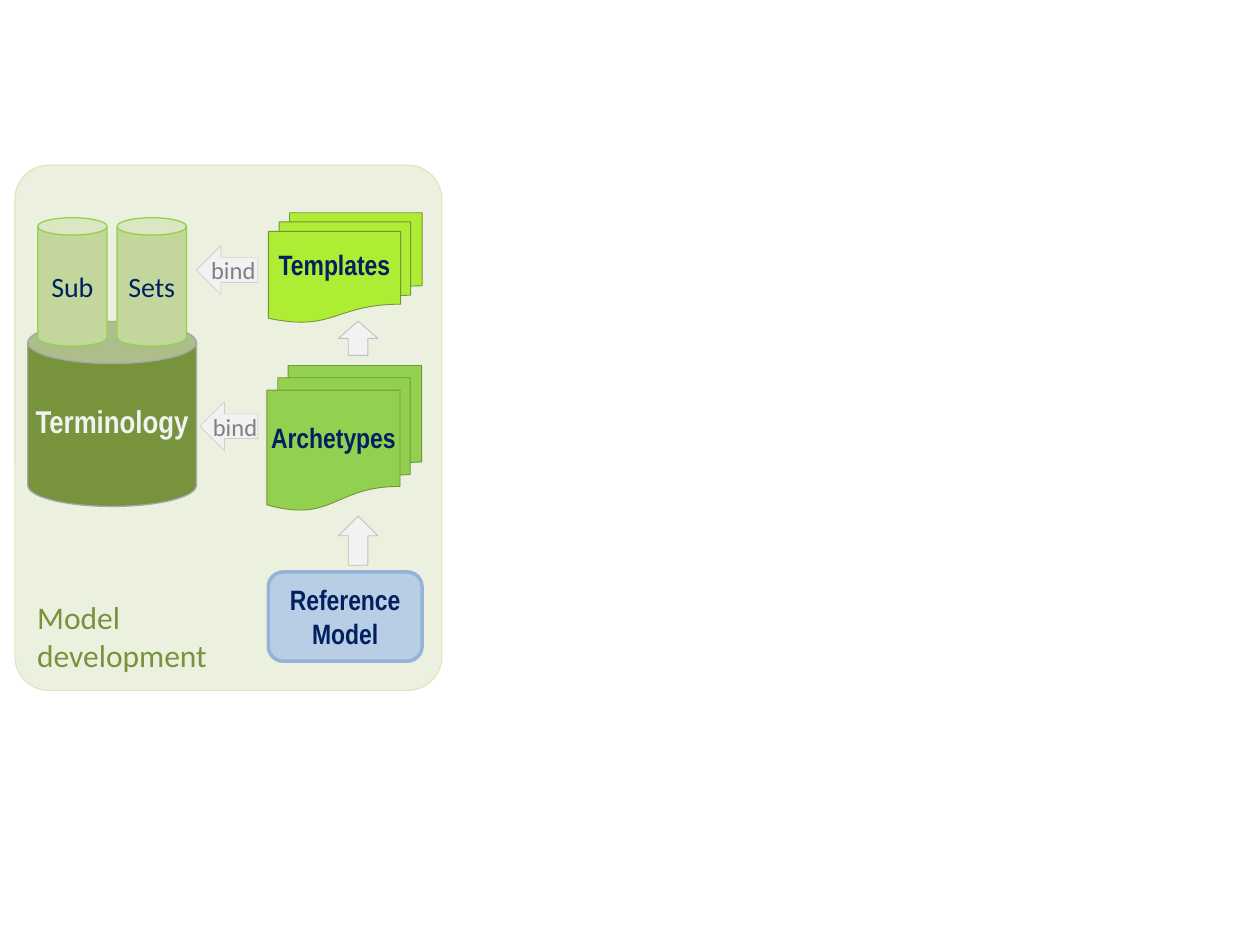
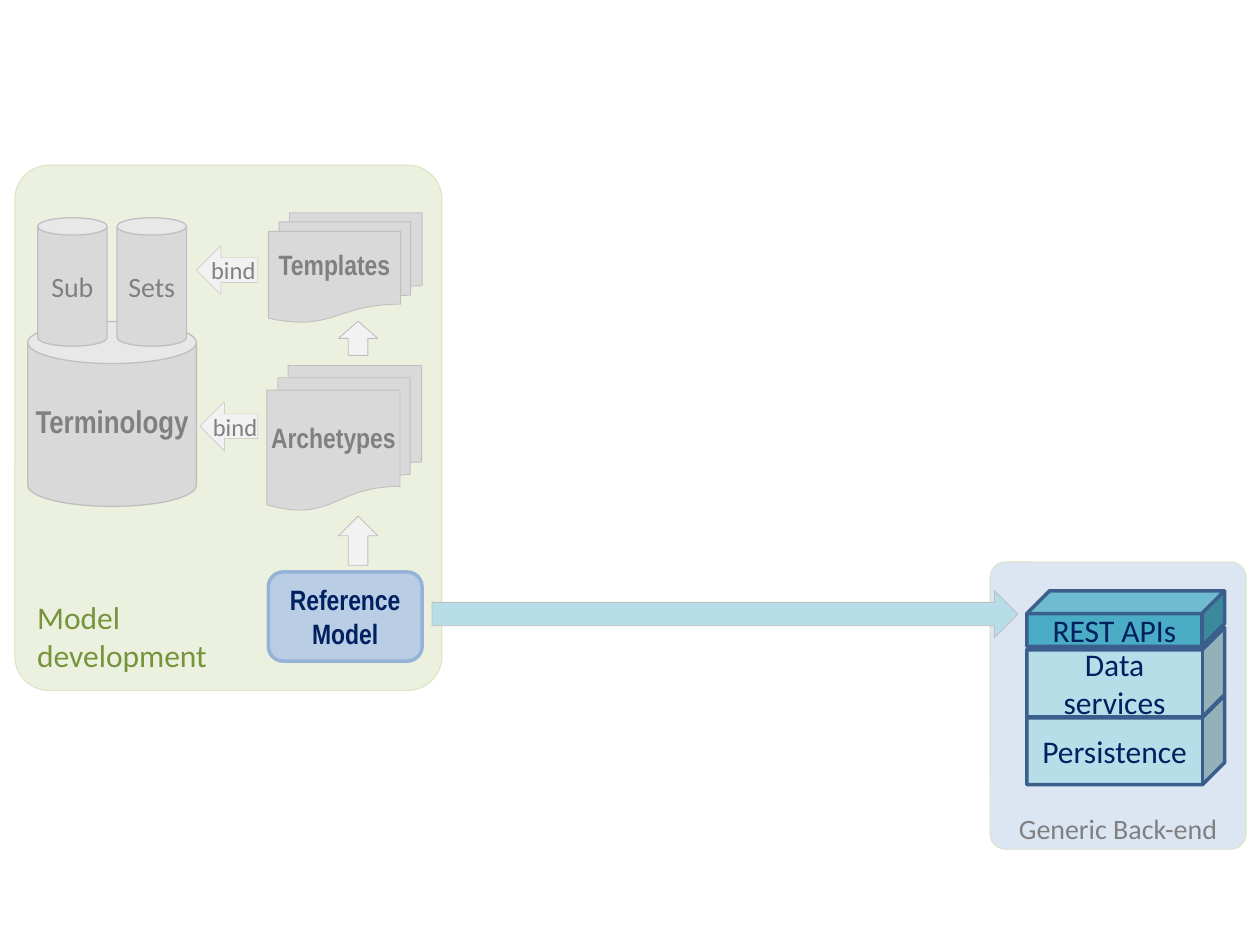
from dataclasses import dataclass

from pptx import Presentation
from pptx.dml.color import RGBColor
from pptx.enum.shapes import MSO_SHAPE
from pptx.enum.text import MSO_ANCHOR, PP_ALIGN
from pptx.util import Cm, Pt

ROUNDED, CAN, CUBE = MSO_SHAPE.ROUNDED_RECTANGLE, MSO_SHAPE.CAN, MSO_SHAPE.CUBE
DOCUMENTS = MSO_SHAPE.FLOWCHART_MULTIDOCUMENT
LEFT_ARROW, RIGHT_ARROW = MSO_SHAPE.LEFT_ARROW, MSO_SHAPE.RIGHT_ARROW
MIDDLE, BOTTOM = MSO_ANCHOR.MIDDLE, MSO_ANCHOR.BOTTOM
LEFT, CENTER = PP_ALIGN.LEFT, PP_ALIGN.CENTER


@dataclass(frozen=True)
class Theme:
    body: str = "Calibri"
    label: str = "Arial Narrow"
    large: int = 18
    medium: int = 16
    small: int = 14
    hairline: float = 0.25
    thin: float = 0.5
    normal: float = 0.75
    thick: float = 2
    navy: str = "002060"
    olive: str = "77933C"
    green: str = "92D050"
    lime: str = "AFEC34"
    sage: str = "C3D69B"
    pale_green: str = "EBF1DE"
    panel_edge: str = "D7E4BD"
    blue: str = "B9CDE5"
    blue_edge: str = "95B3D7"
    pale_blue: str = "DCE6F2"
    aqua: str = "B7DEE8"
    teal: str = "4BACC6"
    cube_edge: str = "3A5F8C"
    off_white: str = "F2F2F2"
    muted: str = "D9D9D9"
    muted_edge: str = "BFBFBF"
    can_edge: str = "A6A6A6"
    gray: str = "808080"


THEME = Theme()

# Places are left, top, width, height in centimetres.
MODEL_PANEL = ("Model \ndevelopment", (0.3, 3.33, 8.61, 10.59))
REFERENCE_MODEL = ("Reference Model", (5.41, 11.53, 3.1, 1.8))
TERMINOLOGY = ("Terminology", (0.56, 6.48, 3.4, 3.73))
SUBSETS = ["Sub", "Sets"]
SUBSET_START, SUBSET_PITCH = 0.76, 1.6
DOCUMENT_STACKS = [
    ("Archetypes", (5.38, 7.37, 3.12, 2.92), THEME.green),
    ("Templates", (5.41, 4.29, 3.1, 2.21), THEME.lime),
]
BINDINGS = [("bind", 4.95, 1.24), ("bind", 8.1, 1.17)]  # text, top, width
BINDING_RIGHT = 5.2
RISES = [(6.82, 0.69), (10.9, 0.99)]  # vertical centre, length
RISE_CENTER, RISE_BREADTH = 7.22, 0.79

BACK_END = ("Generic Back-end", (19.96, 11.33, 5.16, 5.79))
CUBE_LEFT, CUBE_WIDTH = 20.7, 3.99
LAYERS = [  # text, top, height, depth, fill
    ("Persistence", 14.02, 1.8, 0.25, THEME.aqua),
    ("Data\nservices", 12.65, 1.8, 0.25, THEME.aqua),
    ("REST APIs", 11.91, 1.12, 0.41, THEME.teal),
]
MODEL_TO_BACK_END = (8.71, 11.91, 11.81, 0.94)


def rgb(color):
    return RGBColor.from_string(color)


def write(shape, text, size=THEME.medium, font=THEME.body, color=THEME.navy,
          bold=False, align=CENTER, anchor=MIDDLE, insets=(0, 0.13, 0, 0.13)):
    frame = shape.text_frame
    frame.word_wrap = True
    frame.vertical_anchor = anchor
    (frame.margin_left, frame.margin_top,
     frame.margin_right, frame.margin_bottom) = map(Cm, insets)
    paragraph = frame.paragraphs[0]
    paragraph.text = text
    paragraph.alignment = align
    for run in paragraph.runs:
        run.font.size = Pt(size)
        run.font.name = font
        run.font.bold = bold
        run.font.color.rgb = rgb(color)


def draw(slide, preset, place, fill, edge, weight=THEME.thin, adjust=None, text="", **text_format):
    shape = slide.shapes.add_shape(preset, *map(Cm, place))
    shape.shadow.inherit = False
    shape.fill.solid()
    shape.fill.fore_color.rgb = rgb(fill)
    shape.line.color.rgb = rgb(edge)
    shape.line.width = Pt(weight)
    if adjust is not None:
        shape.adjustments[0] = adjust
    if text:
        write(shape, text, **text_format)
    return shape


def add_model_development(slide, muted=False):
    """Draw the modelling panel; muted greys all but the reference model."""
    def tone(color, gray):
        return gray if muted else color

    def part(preset, place, fill, edge, weight, text, color=THEME.navy, **text_format):
        draw(slide, preset, place, tone(fill, THEME.muted), tone(edge, THEME.muted_edge),
             weight, text=text, color=tone(color, THEME.gray), **text_format)

    text, place = MODEL_PANEL
    draw(slide, ROUNDED, place, THEME.pale_green, THEME.panel_edge, adjust=0.08,
         text=text, size=THEME.large, color=THEME.olive, align=LEFT, anchor=BOTTOM,
         insets=(0.25, 0, 0.25, 0.13))
    text, place = REFERENCE_MODEL
    draw(slide, ROUNDED, place, THEME.blue, THEME.blue_edge, THEME.thick,
         text=text, font=THEME.label, bold=True, insets=(0.25, 0.13, 0.25, 0.13))

    text, place = TERMINOLOGY
    part(CAN, place, THEME.olive, THEME.can_edge, THEME.normal, text, THEME.off_white,
         size=THEME.large, font=THEME.label, bold=True, insets=(0, 0, 0, 0.13))
    for index, text in enumerate(SUBSETS):
        part(CAN, (SUBSET_START + index * SUBSET_PITCH, 4.39, 1.4, 2.59),
             THEME.sage, THEME.green, THEME.normal, text)
    for text, place, fill in DOCUMENT_STACKS:
        part(DOCUMENTS, place, fill, THEME.olive, THEME.thin, text,
             font=THEME.label, bold=True, insets=(0, 0, 0, 0.41))

    for middle, length in RISES:
        place = (RISE_CENTER - length / 2, middle - RISE_BREADTH / 2, length, RISE_BREADTH)
        draw(slide, RIGHT_ARROW, place, THEME.off_white, THEME.muted_edge).rotation = 270
    for text, top, width in BINDINGS:
        draw(slide, LEFT_ARROW, (BINDING_RIGHT - width, top, width, 0.99),
             THEME.off_white, THEME.muted_edge, THEME.hairline,
             text=text, size=THEME.small, color=THEME.gray)


def add_back_end(slide):
    text, place = BACK_END
    draw(slide, ROUNDED, place, THEME.pale_blue, THEME.panel_edge, adjust=0.06,
         text=text, color=THEME.gray, anchor=BOTTOM, insets=(0.25, 0, 0.25, 0))
    for text, top, height, depth, fill in LAYERS:
        draw(slide, CUBE, (CUBE_LEFT, top, CUBE_WIDTH, height), fill, THEME.cube_edge,
             THEME.thick, adjust=depth, text=text, size=THEME.large)
    draw(slide, RIGHT_ARROW, MODEL_TO_BACK_END, THEME.aqua, THEME.muted_edge)


def main():
    deck = Presentation()
    deck.slide_width, deck.slide_height = Cm(25.4), Cm(19.05)
    blank = deck.slide_layouts[6]
    add_model_development(deck.slides.add_slide(blank))
    overview = deck.slides.add_slide(blank)
    add_model_development(overview, muted=True)
    add_back_end(overview)
    deck.save("out.pptx")


if __name__ == "__main__":
    main()
